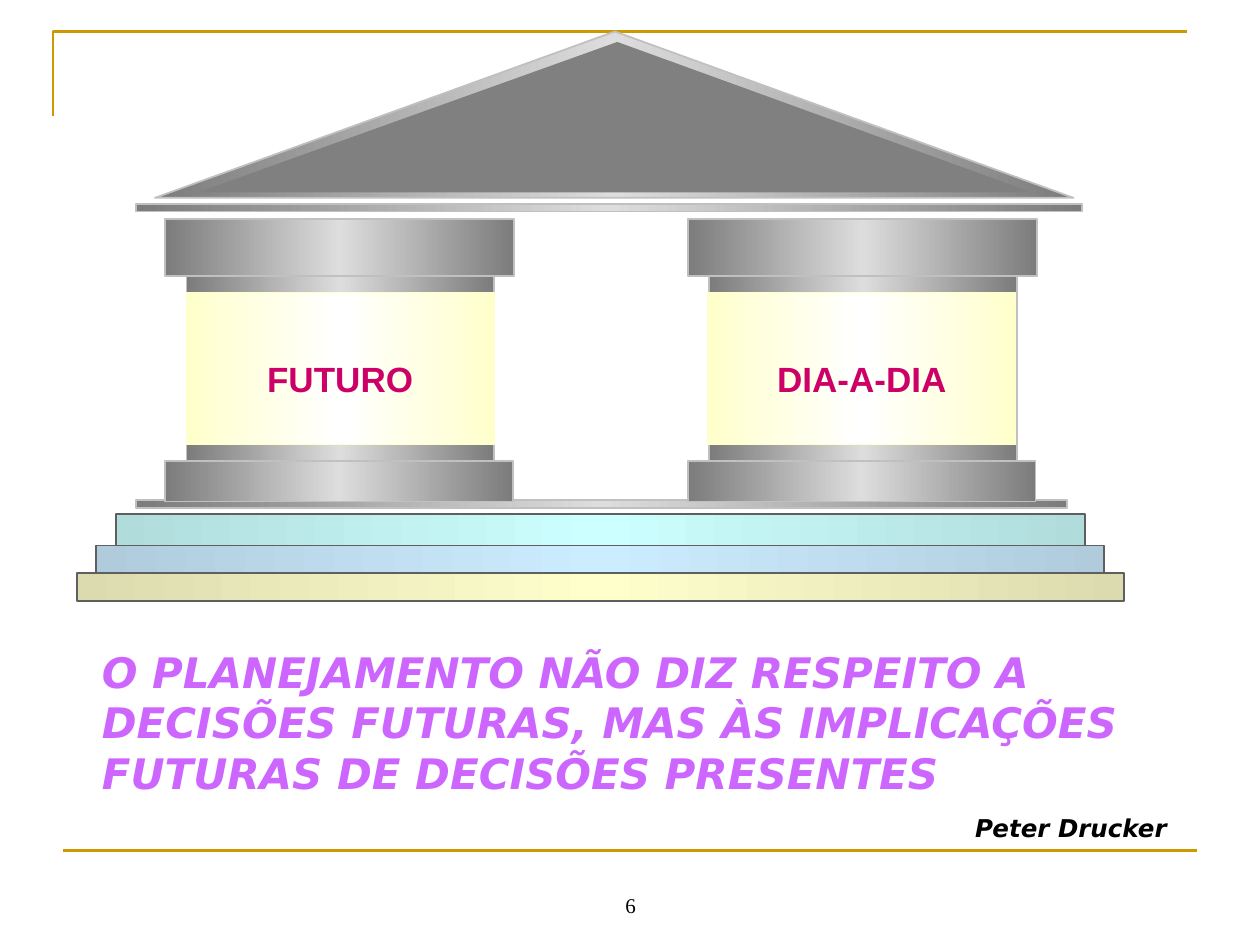
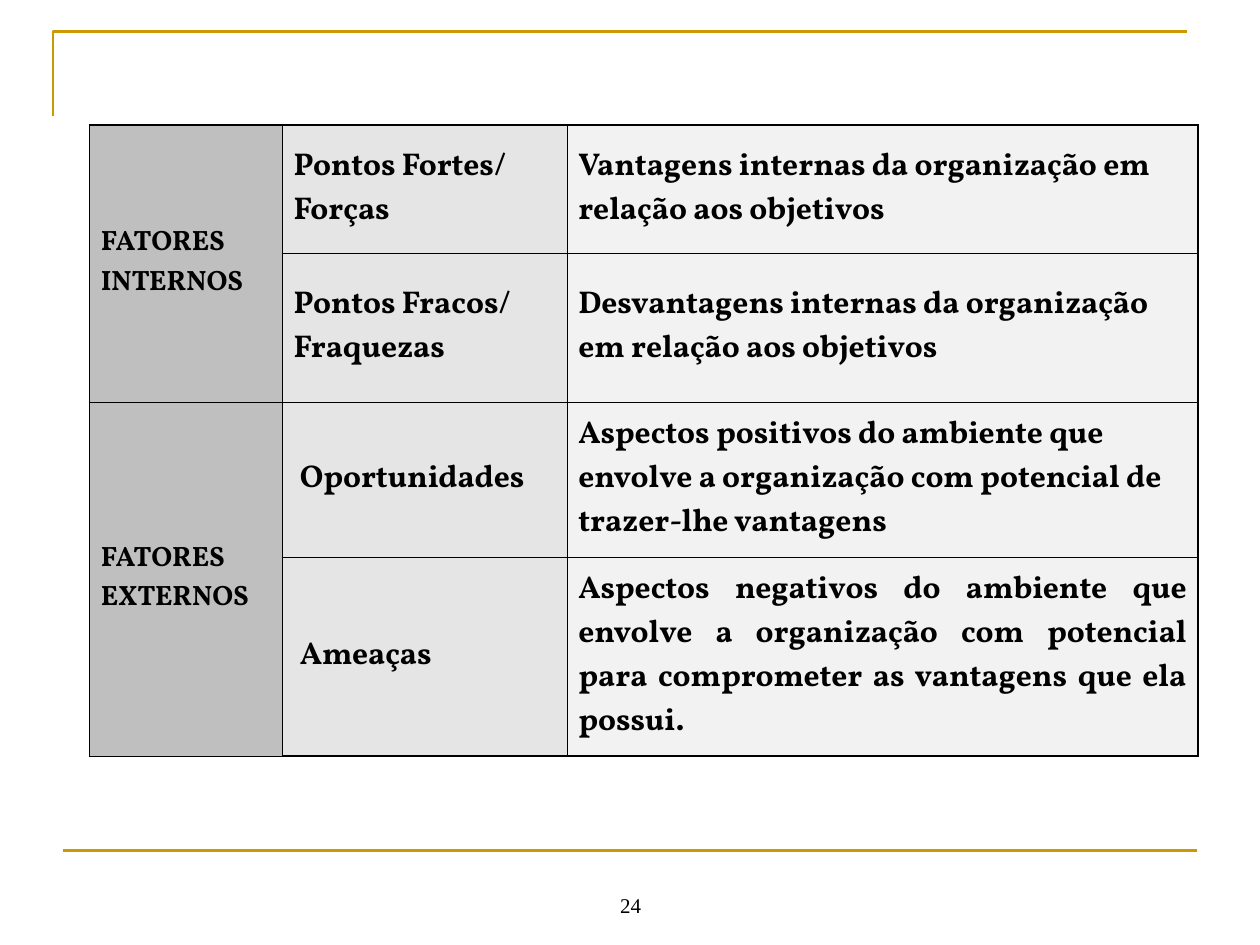
from copy import deepcopy

from lxml import etree
from pptx import Presentation
from pptx.dml.color import RGBColor
from pptx.enum.shapes import MSO_CONNECTOR, MSO_SHAPE
from pptx.enum.text import MSO_ANCHOR, PP_ALIGN
from pptx.oxml.ns import qn
from pptx.util import Inches, Pt

RECTANGLE, PROCESS = MSO_SHAPE.RECTANGLE, MSO_SHAPE.FLOWCHART_PROCESS
STRAIGHT = MSO_CONNECTOR.STRAIGHT
TOP, MIDDLE, BOTTOM = MSO_ANCHOR.TOP, MSO_ANCHOR.MIDDLE, MSO_ANCHOR.BOTTOM
LEFT, CENTER, RIGHT, JUSTIFY = PP_ALIGN.LEFT, PP_ALIGN.CENTER, PP_ALIGN.RIGHT, PP_ALIGN.JUSTIFY

BLACK = RGBColor(0x00, 0x00, 0x00)
WHITE = RGBColor(0xFF, 0xFF, 0xFF)
GOLD = RGBColor(0xCC, 0x99, 0x00)
VIOLET = RGBColor(0xCC, 0x66, 0xFF)
MAGENTA = RGBColor(0xCC, 0x00, 0x66)
STONE = RGBColor(0x80, 0x80, 0x80)
STONE_DARK = RGBColor(0x7C, 0x7C, 0x7C)
STONE_LIGHT = RGBColor(0xDD, 0xDD, 0xDD)
STONE_EDGE = RGBColor(0xC0, 0xC0, 0xC0)
STEP_EDGE = RGBColor(0x5F, 0x5F, 0x5F)
AQUA_DARK, AQUA = RGBColor(0xB0, 0xDC, 0xDC), RGBColor(0xCC, 0xFF, 0xFF)
SKY_DARK, SKY = RGBColor(0xB0, 0xCC, 0xDC), RGBColor(0xCC, 0xEC, 0xFF)
CREAM_DARK, CREAM = RGBColor(0xDB, 0xDB, 0xAF), RGBColor(0xFF, 0xFF, 0xCC)
COLUMN_FILLS = (RGBColor(0xBF, 0xBF, 0xBF), RGBColor(0xE5, 0xE5, 0xE5), RGBColor(0xF2, 0xF2, 0xF2))

MARBLE = (STONE_DARK, STONE_LIGHT)
HEADING_FONT, LABEL_FONT = "DejaVu Sans", "Arial"
NUMBER_FONT, TABLE_FONT = "Times New Roman", "Vollkorn"

GRID_COLUMNS, GRID_ROWS = 100, 75
THIN, THICK = Pt(0.45), Pt(0.96)


class Deck:
    """Draws on the current slide; places are columns and rows of the grid."""

    def __init__(self):
        self.presentation = Presentation()
        self.presentation.slide_width = Inches(10)
        self.presentation.slide_height = Inches(7.5)
        self.slide = None

    def x(self, columns):
        return round(self.presentation.slide_width * columns / GRID_COLUMNS)

    def y(self, rows):
        return round(self.presentation.slide_height * rows / GRID_ROWS)

    def place(self, left, top, width, height):
        return self.x(left), self.y(top), self.x(width), self.y(height)

    def start_slide(self, number):
        """Add a slide with the gold frame and its number."""
        self.slide = self.presentation.slides.add_slide(self.presentation.slide_layouts[6])
        self.outline([(4.2, 9.2), (4.2, 2.5), (94.2, 2.5)], None, GOLD, 1.5, closed=False)
        self.rule((5, 67.5), (95, 67.5))
        self.text((34.2, 68.3, 31.7, 5), [str(number)], NUMBER_FONT, 12, anchor=BOTTOM)

    def paint(self, shape, fill, edge, weight):
        """Fill with one colour, a (side, centre) pair of colours, or nothing."""
        shape.shadow.inherit = False
        if fill is None:
            shape.fill.background()
        elif isinstance(fill, RGBColor):
            shape.fill.solid()
            shape.fill.fore_color.rgb = fill
        else:
            side, centre = fill
            shape.fill.gradient()
            shape.fill.gradient_angle = 0
            stop_list = shape._element.spPr.find(qn("a:gradFill")).find(qn("a:gsLst"))
            stop_list.append(deepcopy(stop_list[-1]))
            stops = zip(shape.fill.gradient_stops, (0, 0.5, 1), (side, centre, side))
            for stop, position, color in stops:
                stop.position = position
                stop.color.rgb = color
        shape.line.color.rgb = edge
        shape.line.width = Pt(weight)

    def block(self, box, fill=MARBLE, edge=STONE_EDGE, weight=1, kind=RECTANGLE):
        shape = self.slide.shapes.add_shape(kind, *self.place(*box))
        self.paint(shape, fill, edge, weight)

    def outline(self, points, fill, edge, weight=1, closed=True):
        corners = [(self.x(column), self.y(row)) for column, row in points]
        builder = self.slide.shapes.build_freeform(*corners[0])
        builder.add_line_segments(corners[1:], close=closed)
        self.paint(builder.convert_to_shape(), fill, edge, weight)

    def rule(self, start, end):
        line = self.slide.shapes.add_connector(
            STRAIGHT, self.x(start[0]), self.y(start[1]), self.x(end[0]), self.y(end[1]))
        line.line.color.rgb = GOLD
        line.line.width = Pt(1.5)
        etree.SubElement(line._element.spPr, qn("a:effectLst"))

    def style(self, paragraph, font, size, color=BLACK, bold=False, italic=False, align=LEFT):
        paragraph.alignment = align
        for run in paragraph.runs:
            run.font.name = font
            run.font.size = Pt(size)
            run.font.color.rgb = color
            run.font.bold = bold
            run.font.italic = italic

    def text(self, box, lines, font, size, color=BLACK, bold=False, italic=False,
             align=CENTER, anchor=TOP):
        frame = self.slide.shapes.add_textbox(*self.place(*box)).text_frame
        frame.word_wrap = True
        frame.vertical_anchor = anchor
        frame.text = "\n".join(lines)
        for paragraph in frame.paragraphs:
            self.style(paragraph, font, size, color, bold, italic, align)
        return frame

    def borders(self, cell, weights):
        """Draw the left, right, top and bottom edges of a cell."""
        properties = cell._tc.get_or_add_tcPr()
        for index, (side, weight) in enumerate(zip("LRTB", weights)):
            line = etree.Element(qn(f"a:ln{side}"), w=str(weight))
            solid = etree.SubElement(line, qn("a:solidFill"))
            etree.SubElement(solid, qn("a:srgbClr"), val=str(BLACK))
            properties.insert(index, line)

    def table(self, left, top, widths, heights):
        """Add an empty table with a heavier outer border."""
        box = self.place(left, top, sum(widths), sum(heights))
        table = self.slide.shapes.add_table(len(heights), len(widths), *box).table
        table.first_row = table.horz_banding = False
        for column, width in zip(table.columns, widths):
            column.width = self.x(width)
        for row, height in zip(table.rows, heights):
            row.height = self.y(height)
        last_row, last_column = len(heights) - 1, len(widths) - 1
        for row in range(len(heights)):
            for column in range(len(widths)):
                cell = table.cell(row, column)
                cell.fill.solid()
                cell.fill.fore_color.rgb = COLUMN_FILLS[column]
                outer = (column == 0, column == last_column, row == 0, row == last_row)
                self.borders(cell, [THICK if edge else THIN for edge in outer])
        return table

    def fill_cell(self, cell, text, size=18, align=LEFT, indent=0):
        cell.text = text
        cell.vertical_anchor = MIDDLE
        cell.margin_left = self.x(0.9 + indent)
        cell.margin_right = self.x(0.9)
        self.style(cell.text_frame.paragraphs[0], TABLE_FONT, size, bold=True, align=align)


def draw_pillar(deck, left, drum_left, label):
    deck.block((left + 1.7, 19.9, 24.4, 17))
    deck.block((left, 17.4, 27.7, 4.5))
    deck.block((left, 36.6, 27.6, 3.2))
    deck.block((drum_left, 23.2, 24.4, 12.1), (CREAM, WHITE), CREAM, 0.75, PROCESS)
    deck.text((drum_left, 27.9, 24.4, 4.3), [label], LABEL_FONT, 20, MAGENTA, bold=True)


def draw_temple_slide(deck):
    deck.start_slide(6)
    deck.outline([(12.3, 15.7), (85.2, 15.7), (48.8, 2.5)], MARBLE, STONE_EDGE)
    deck.outline([(16.1, 15.2), (81.5, 15.2), (49, 3.4)], STONE, STONE)
    deck.block((10.8, 16.2, 75.1, 0.6))
    deck.block((10.8, 39.7, 73.9, 0.6))

    steps = [(40.8, 2.6, (AQUA_DARK, AQUA)),
             (43.3, 2.8, (SKY_DARK, SKY)),
             (45.5, 2.2, (CREAM_DARK, CREAM))]
    for index, (top, height, fill) in enumerate(steps):
        overhang = 1.55 * index
        deck.block((9.2 - overhang, top, 76.9 + 2 * overhang, height), fill, STEP_EDGE)

    draw_pillar(deck, 13.1, 14.8, "FUTURO")
    draw_pillar(deck, 54.6, 56.2, "DIA-A-DIA")

    quote = ("O PLANEJAMENTO NÃO DIZ RESPEITO A DECISÕES FUTURAS, "
             "MAS ÀS IMPLICAÇÕES FUTURAS DE DECISÕES PRESENTES")
    frame = deck.text((7.1, 50.8, 86.5, 16.6), [quote, "Peter Drucker"], HEADING_FONT, 24,
                      VIOLET, bold=True, italic=True, align=LEFT)
    author = frame.paragraphs[1]
    author.space_before = Pt(8.8)
    deck.style(author, HEADING_FONT, 14, bold=True, italic=True, align=RIGHT)


def draw_factors_slide(deck):
    deck.start_slide(24)
    table = deck.table(7.1, 9.9, (15.3, 22.6, 50.1), (10.2, 11.8, 12.3, 15.8))

    for row, group in ((0, "FATORES INTERNOS"), (2, "FATORES EXTERNOS")):
        table.cell(row, 0).merge(table.cell(row + 1, 0))
        deck.fill_cell(table.cell(row, 0), group, size=16)

    factors = [
        ("Pontos Fortes/ Forças", 0, LEFT,
         "Vantagens internas da organização em relação aos objetivos"),
        ("Pontos Fracos/ Fraquezas", 0, LEFT,
         "Desvantagens internas da organização em relação aos objetivos"),
        ("Oportunidades", 0.5, LEFT,
         "Aspectos positivos do ambiente que envolve a organização com potencial "
         "de trazer-lhe vantagens"),
        ("Ameaças", 0.5, JUSTIFY,
         "Aspectos negativos do ambiente que envolve a organização com potencial "
         "para comprometer as vantagens que ela possui."),
    ]
    for row, (factor, indent, align, meaning) in enumerate(factors):
        deck.fill_cell(table.cell(row, 1), factor, align=align, indent=indent)
        deck.fill_cell(table.cell(row, 2), meaning, align=align)


def main():
    deck = Deck()
    draw_temple_slide(deck)
    draw_factors_slide(deck)
    deck.presentation.save("out.pptx")


if __name__ == "__main__":
    main()
